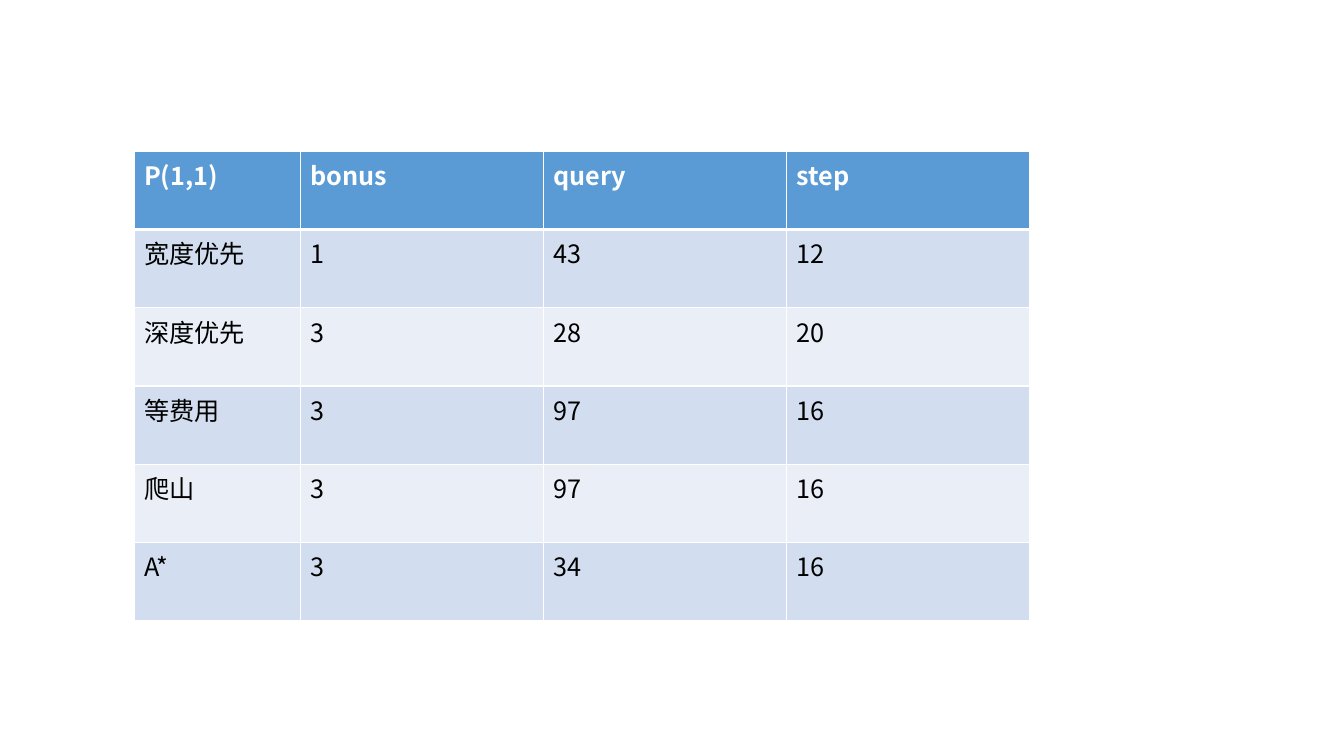
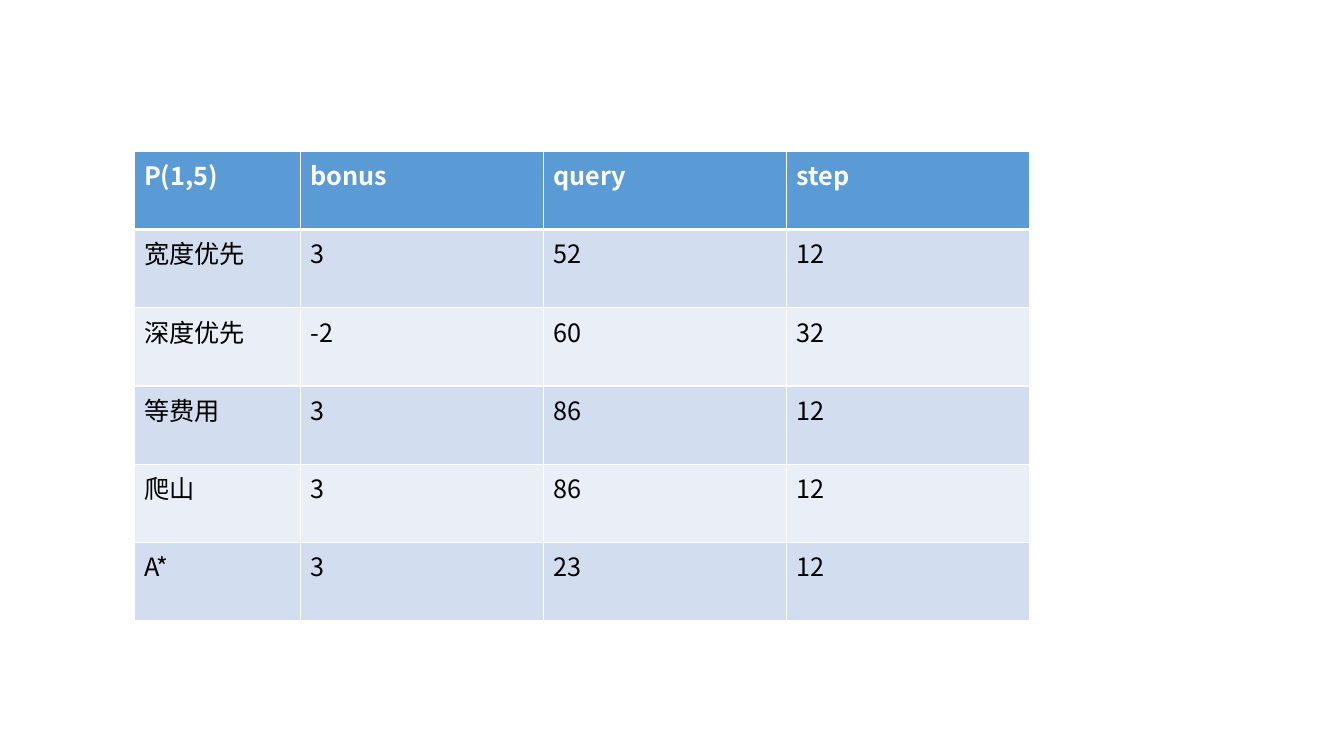
from lxml.etree import SubElement
from pptx import Presentation
from pptx.dml.color import RGBColor
from pptx.oxml.ns import qn
from pptx.util import Inches, Pt

# Shared style
FONT = "Noto Sans CJK SC"
WHITE = RGBColor(0xFF, 0xFF, 0xFF)
BLACK = RGBColor(0x00, 0x00, 0x00)
BLUE = RGBColor(0x5B, 0x9B, 0xD5)
BANDS = (RGBColor(0xEA, 0xEF, 0xF7), RGBColor(0xD2, 0xDE, 0xEF))

# Shared layout, in inches
LEFT, TOP, HIGH = 1.33, 1.5, 4.66
COLS = (1.65, 2.41, 2.41, 2.41)

# Content
HEADS = ("bonus", "query", "step")
NAMES = ("宽度优先", "深度优先", "等费用", "爬山", "A*")
RUNS = {
    "P(1,1)": ((1, 43, 12), (3, 28, 20), (3, 97, 16), (3, 97, 16), (3, 34, 16)),
    "P(1,5)": ((3, 52, 12), (-2, 60, 32), (3, 86, 12), (3, 86, 12), (3, 23, 12)),
}


def put_text(frame, text, size=18, color=BLACK, bold=False):
    """Write one run of text in the shared font."""
    run = frame.paragraphs[0].add_run()
    run.text = text
    font = run.font
    font.size, font.bold, font.name = Pt(size), bold, FONT
    font.color.rgb = color
    SubElement(run._r.get_or_add_rPr(), qn("a:ea"), typeface=FONT)


def set_edges(cell, **widths):
    """Draw white cell borders; they must stand before the fill."""
    props = cell._tc.get_or_add_tcPr()
    for spot, side in enumerate("LRTB"):
        line = SubElement(props, qn(f"a:ln{side}"), w=str(Pt(widths.get(side, 1))))
        fill = SubElement(line, qn("a:solidFill"))
        SubElement(fill, qn("a:srgbClr"), val=str(WHITE))
        props.insert(spot, line)


def add_grid(slide, rows):
    """Add a table with a blue header and banded rows."""
    shape = slide.shapes.add_table(
        len(rows), len(COLS), Inches(LEFT), Inches(TOP),
        Inches(sum(COLS)), Inches(HIGH))
    table = shape.table
    for col, width in zip(table.columns, COLS):
        col.width = Inches(width)
    for i, row in enumerate(rows):
        head = i == 0
        table.rows[i].height = Inches(HIGH / len(rows))
        for j, value in enumerate(row):
            cell = table.cell(i, j)
            cell.fill.solid()
            cell.fill.fore_color.rgb = BLUE if head else BANDS[i % 2]
            # The rule below the header is thicker
            set_edges(cell, T=3 if i == 1 else 1, B=3 if head else 1)
            put_text(cell.text_frame, str(value),
                     color=WHITE if head else BLACK, bold=head)


def main():
    deck = Presentation()
    deck.slide_width, deck.slide_height = Inches(13.33), Inches(7.5)
    # One slide for each start point
    for start, data in RUNS.items():
        slide = deck.slides.add_slide(deck.slide_layouts[6])
        body = [(name, *nums) for name, nums in zip(NAMES, data)]
        add_grid(slide, [(start, *HEADS), *body])
    deck.save("out.pptx")


if __name__ == "__main__":
    main()
